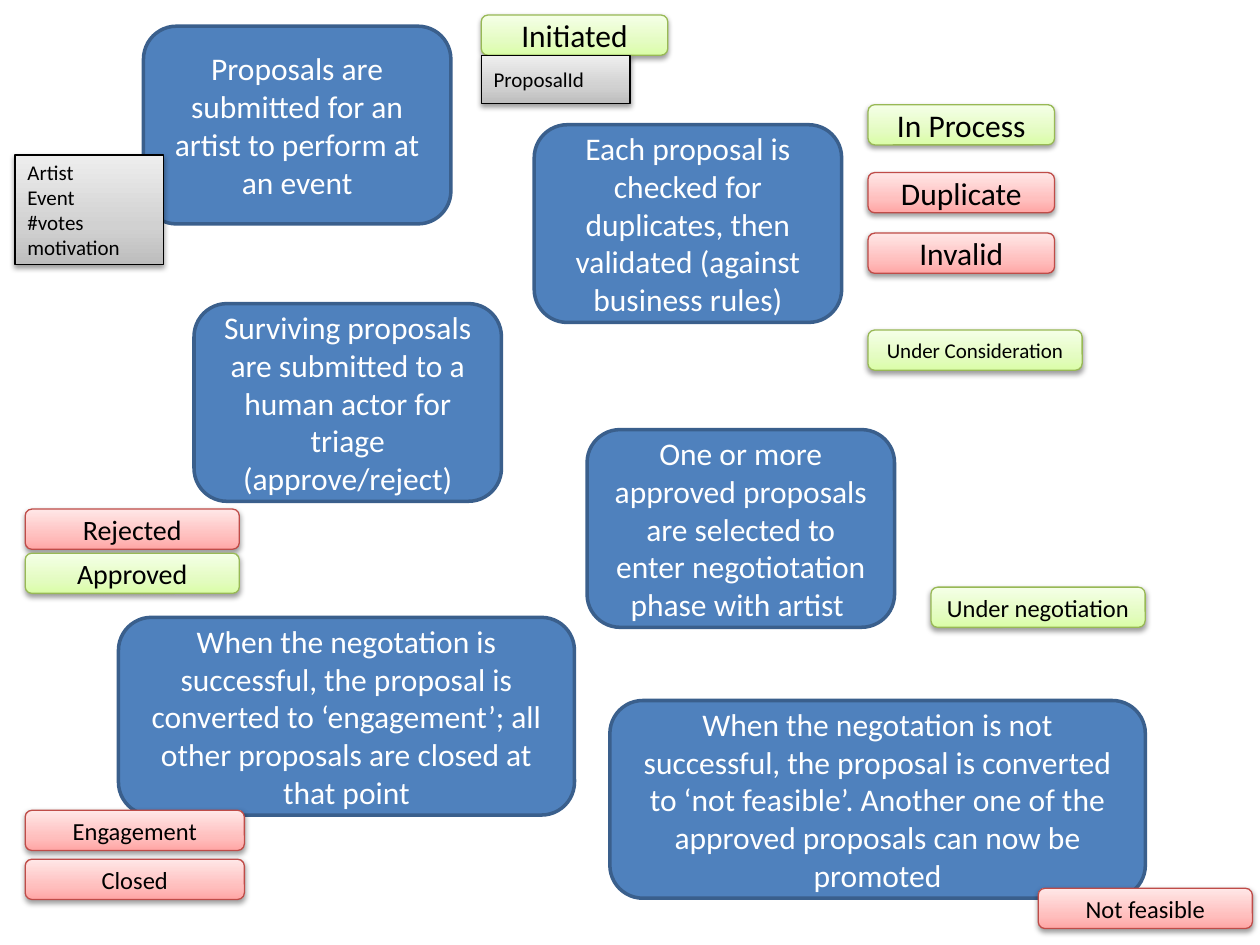
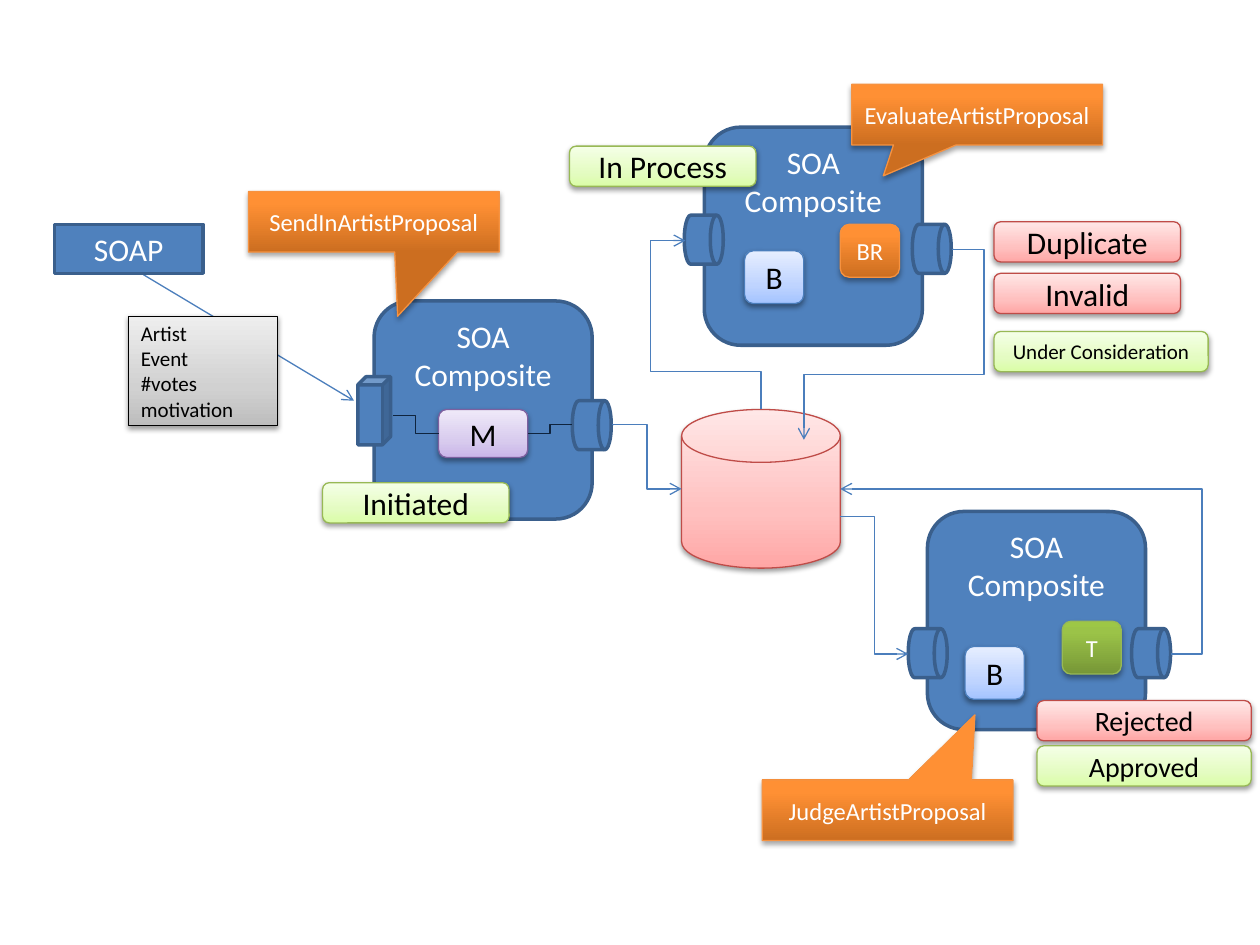
import copy
from collections import namedtuple

import pptx
import pptx.dml.color
import pptx.enum.shapes
import pptx.enum.text
import pptx.oxml.ns
import pptx.util
from lxml import etree

Pt = pptx.util.Pt
RGBColor = pptx.dml.color.RGBColor
SHAPE = pptx.enum.shapes.MSO_SHAPE
CONNECTOR = pptx.enum.shapes.MSO_CONNECTOR
ALIGN = pptx.enum.text.PP_ALIGN
ANCHOR = pptx.enum.text.MSO_ANCHOR
qn = pptx.oxml.ns.qn

FONT = "Calibri"
WHITE = RGBColor(0xFF, 0xFF, 0xFF)
BLACK = RGBColor(0x00, 0x00, 0x00)
BLUE = RGBColor(0x4F, 0x81, 0xBD)
BLUE_EDGE = RGBColor(0x3A, 0x5F, 0x8C)
FLOW = RGBColor(0x4B, 0x7E, 0xBC)
WIRE = RGBColor(0x0F, 0x24, 0x3E)

# Gradients run from bottom to top; mid is the position of the middle stop.
Look = namedtuple("Look", "stops mid edge text")


def look(stops, edge, mid=0.35, text=BLACK):
    return Look([RGBColor.from_string(c) for c in stops.split()], mid,
                RGBColor.from_string(edge), text)


GREEN = look("DAFDA7 E4FCC2 F5FFE7", "98B955")
RED = look("FFA6A5 FFC0BF FFE7E7", "BF4C48")
GREY = look("BDBDBD D1D1D1 EEEEEE", "000000")
PURPLE = look("C9B5E8 D8CBEE F0EAF9", "7D60A0")
PALE_BLUE = look("A4C4FF BFD4FF E6EEFF", "4B7EBC")
ORANGE = look("CC6E20 FF9034 FF9136", "F69240", 0.8, WHITE)
OLIVE = look("779737 9BC348 9DC746", "98B955", 0.8, WHITE)

STEP_W, STEP_H = 175.7, 113
STATE_H = 23
NARROW, WIDE, WIDEST = 106.6, 122.4, 125.3
NOTE_W = 85
COMPOSITE = 124.6

# Each proposal state: look, width, font size
STATES = {
    "Initiated": (GREEN, NARROW, 18),
    "In Process": (GREEN, NARROW, 18),
    "Duplicate": (RED, NARROW, 18),
    "Invalid": (RED, NARROW, 18),
    "Under Consideration": (GREEN, WIDE, 12),
    "Rejected": (RED, WIDE, 16),
    "Approved": (GREEN, WIDE, 16),
    "Under negotiation": (GREEN, WIDE, 14),
    "Not feasible": (RED, WIDE, 14),
    "Engagement": (RED, WIDEST, 14),
    "Closed": (RED, WIDEST, 14),
}
PROPOSAL_FIELDS = "Artist\nEvent\n#votes\nmotivation"


def write(sp, text, size, color, align=ALIGN.CENTER):
    tf = sp.text_frame
    tf.text = text
    tf.word_wrap = True
    tf.vertical_anchor = ANCHOR.MIDDLE
    for p in tf.paragraphs:
        p.alignment = align
        for r in p.runs:
            r.font.name, r.font.size = FONT, Pt(size)
            r.font.color.rgb = color


def add_box(slide, kind, x, y, w, h):
    sp = slide.shapes.add_shape(kind, Pt(x), Pt(y), Pt(w), Pt(h))
    sp.shadow.inherit = False
    return sp


def add_blue(slide, kind, x, y, w, h, text=""):
    sp = add_box(slide, kind, x, y, w, h)
    sp.fill.solid()
    sp.fill.fore_color.rgb = BLUE
    sp.line.color.rgb = BLUE_EDGE
    sp.line.width = Pt(2)
    if text:
        write(sp, text, 18, WHITE)
    return sp


def add_shadow(sp, strong):
    """Drop a soft black shadow below the shape."""
    effects = sp._element.spPr.find(qn("a:effectLst"))
    shadow = etree.SubElement(
        effects, qn("a:outerShdw"), blurRad=str(Pt(3.1)),
        dist=str(Pt(1.6 if strong else 1.8)), dir="5400000", rotWithShape="0")
    color = etree.SubElement(shadow, qn("a:srgbClr"), val="000000")
    etree.SubElement(color, qn("a:alpha"), val="38000" if strong else "35000")


def add_glossy(slide, kind, look, x, y, w, h, text="", size=18,
               align=ALIGN.CENTER):
    """Add a shape with a vertical gradient, a thin edge and a shadow."""
    sp = add_box(slide, kind, x, y, w, h)
    sp.fill.gradient()
    sp.fill.gradient_angle = 90
    stops = sp._element.spPr.find(".//" + qn("a:gsLst"))
    stops.append(copy.deepcopy(stops[0]))
    for stop, color, pos in zip(sp.fill.gradient_stops, look.stops,
                                (0, look.mid, 1)):
        stop.color.rgb = color
        stop.position = pos
    sp.line.color.rgb = look.edge
    sp.line.width = Pt(0.75)
    add_shadow(sp, look.text == BLACK)
    if text:
        write(sp, text, size, look.text, align)
    return sp


def add_state(slide, name, x, y):
    look, w, size = STATES[name]
    add_glossy(slide, SHAPE.ROUNDED_RECTANGLE, look, x, y, w, STATE_H, name, size)


def add_note(slide, text, x, y, h):
    add_glossy(slide, SHAPE.RECTANGLE, GREY, x, y, NOTE_W, h, text, 12, ALIGN.LEFT)


def add_composite(slide, x, y):
    sp = add_blue(slide, SHAPE.ROUNDED_RECTANGLE, x, y, COMPOSITE, COMPOSITE,
                  "SOA Composite")
    sp.text_frame.vertical_anchor = ANCHOR.TOP
    sp.text_frame.margin_top = Pt(3)


def add_component(slide, look, text, x, y, size=18, w=33.8, h=30.2):
    return add_glossy(slide, SHAPE.ROUNDED_RECTANGLE, look, x, y, w, h, text, size)


def add_callout(slide, text, x, y, tip):
    """tip is the pointer's end, as shares of the size from the centre."""
    sp = add_glossy(slide, SHAPE.RECTANGULAR_CALLOUT, ORANGE, x, y, 143.3, 34.6,
                    text, 14)
    sp.adjustments[0], sp.adjustments[1] = tip


def add_line(slide, kind, start, end, color=FLOW, arrow=True):
    cx = slide.shapes.add_connector(kind, *(Pt(v) for v in start + end))
    cx.line.color.rgb = color
    cx.line.width = Pt(0.75)
    if arrow:
        etree.SubElement(cx.line._get_or_add_ln(), qn("a:tailEnd"), type="arrow")
    etree.SubElement(cx._element.spPr, qn("a:effectLst"))
    return cx


def bend(cx, *shares, turn=0):
    """Place the bends of an elbow, as shares of its size, and turn it."""
    geom = cx._element.spPr.find(qn("a:prstGeom"))
    geom.set("prst", f"bentConnector{len(shares) + 2}")
    guides = geom.find(qn("a:avLst"))
    for i, share in enumerate(shares, 1):
        etree.SubElement(guides, qn("a:gd"), name=f"adj{i}",
                         fmla=f"val {round(share * 100000)}")
    if turn:
        cx._element.spPr.find(qn("a:xfrm")).set("rot", str(turn * 60000))


def build_process(slide):
    for text, x, y, w in (
        ("Proposals are submitted for an artist to perform at an event",
         82, 15, STEP_W),
        ("Each proposal is checked for duplicates, then validated "
         "(against business rules)", 305.3, 71.3, STEP_W),
        ("Surviving proposals are submitted to a human actor for triage "
         "(approve/reject)", 110.9, 173.5, STEP_W),
        ("One or more approved proposals are selected to enter negotiotation "
         "phase with artist ", 335.5, 245.5, STEP_W),
        ("When the negotation is successful, the proposal is converted to "
         "‘engagement’; all other proposals are closed at that point",
         67.7, 352.8, 260.6),
        ("When the negotation is not successful, the proposal is converted to "
         "‘not feasible’. Another one of the approved proposals can now be "
         "promoted", 348.5, 400.3, 306),
    ):
        add_blue(slide, SHAPE.ROUNDED_RECTANGLE, x, y, w, STEP_H, text)
    for name, x, y in (
        ("Initiated", 275, 8.6),
        ("In Process", 496, 59.8),
        ("Duplicate", 496, 98.6),
        ("Invalid", 496, 133.2),
        ("Under Consideration", 496, 188.6),
        ("Rejected", 14.4, 290.9),
        ("Approved", 14.4, 316.1),
        ("Under negotiation", 532, 335.5),
        ("Not feasible", 593.3, 507.6),
        ("Engagement", 14.4, 463),
        ("Closed", 14.4, 491),
    ):
        add_state(slide, name, x, y)
    add_note(slide, PROPOSAL_FIELDS, 8.6, 88.6, 62.6)
    add_note(slide, "ProposalId", 275, 31.7, 27.4)


def build_composites(slide):
    for x, y in ((213.8, 172), (402.5, 72.7), (530, 292.3)):
        add_composite(slide, x, y)
    for x, y in ((327, 229), (391, 123), (521.3, 128.2), (519, 359.3),
                 (646.6, 359.3)):
        add_blue(slide, SHAPE.FLOWCHART_DIRECT_ACCESS_STORAGE, x, y, 22.3, 28)
    add_glossy(slide, SHAPE.FLOWCHART_MAGNETIC_DISK, RED, 389.5, 234, 90.7, 90.7)

    for text, x, y, tip in (
        ("SendInArtistProposal", 142, 109.4, (0.095, 1.561)),
        ("EvaluateArtistProposal", 486.7, 48.2, (-0.374, 1.012)),
        ("JudgeArtistProposal", 435.6, 445.7, (0.348, -1.574)),
    ):
        add_callout(slide, text, x, y, tip)

    mediator = add_component(slide, PURPLE, "M", 250.6, 234, w=51, h=27.4)
    add_component(slide, PALE_BLUE, "B", 425.5, 143.3)
    add_component(slide, ORANGE, "BR", 480.2, 128.2, 14)
    add_component(slide, PALE_BLUE, "B", 551.5, 369.4)
    add_component(slide, OLIVE, "T", 607, 355, 14)

    elbow = CONNECTOR.ELBOW
    wire_in = add_line(slide, elbow, (224.6, 237.6), (250.6, 247.7), WIRE, False)
    wire_in.end_connect(mediator, 1)
    wire_out = add_line(slide, elbow, (301.6, 247.7), (327, 242.6), WIRE, False)
    wire_out.begin_connect(mediator, 3)
    add_line(slide, elbow, (350, 242.6), (389.5, 279.4))
    add_line(slide, elbow, (480.2, 295.2), (519, 373.7))
    bend(add_line(slide, elbow, (365, 207.4), (461.5, 164.2)),
         0.225, 1.458, turn=270)
    bend(add_line(slide, elbow, (544.3, 142.6), (459.4, 251.3)), -0.212, 0.658)
    bend(add_line(slide, elbow, (669, 373.7), (480.2, 279.4)), -0.095)

    add_line(slide, CONNECTOR.STRAIGHT, (82, 157), (202.3, 229))
    add_blue(slide, SHAPE.RECTANGLE, 31, 128.2, NOTE_W, 28, "SOAP")
    add_blue(slide, SHAPE.CUBE, 204.5, 215.3, 18.7, 38.9)
    for name, x, y in (
        ("Initiated", 184.3, 275.8),
        ("In Process", 325.4, 83.5),
        ("Duplicate", 568, 126.7),
        ("Invalid", 568, 156.2),
        ("Under Consideration", 568, 189.4),
        ("Rejected", 592.6, 400.3),
        ("Approved", 592.6, 426.2),
    ):
        add_state(slide, name, x, y)
    add_note(slide, PROPOSAL_FIELDS, 73.4, 180.7, 62.6)


def main():
    prs = pptx.Presentation()
    prs.slide_width, prs.slide_height = Pt(720), Pt(540)
    blank = prs.slide_layouts[6]
    for build in (build_process, build_composites):
        build(prs.slides.add_slide(blank))
    prs.save("out.pptx")


if __name__ == "__main__":
    main()
